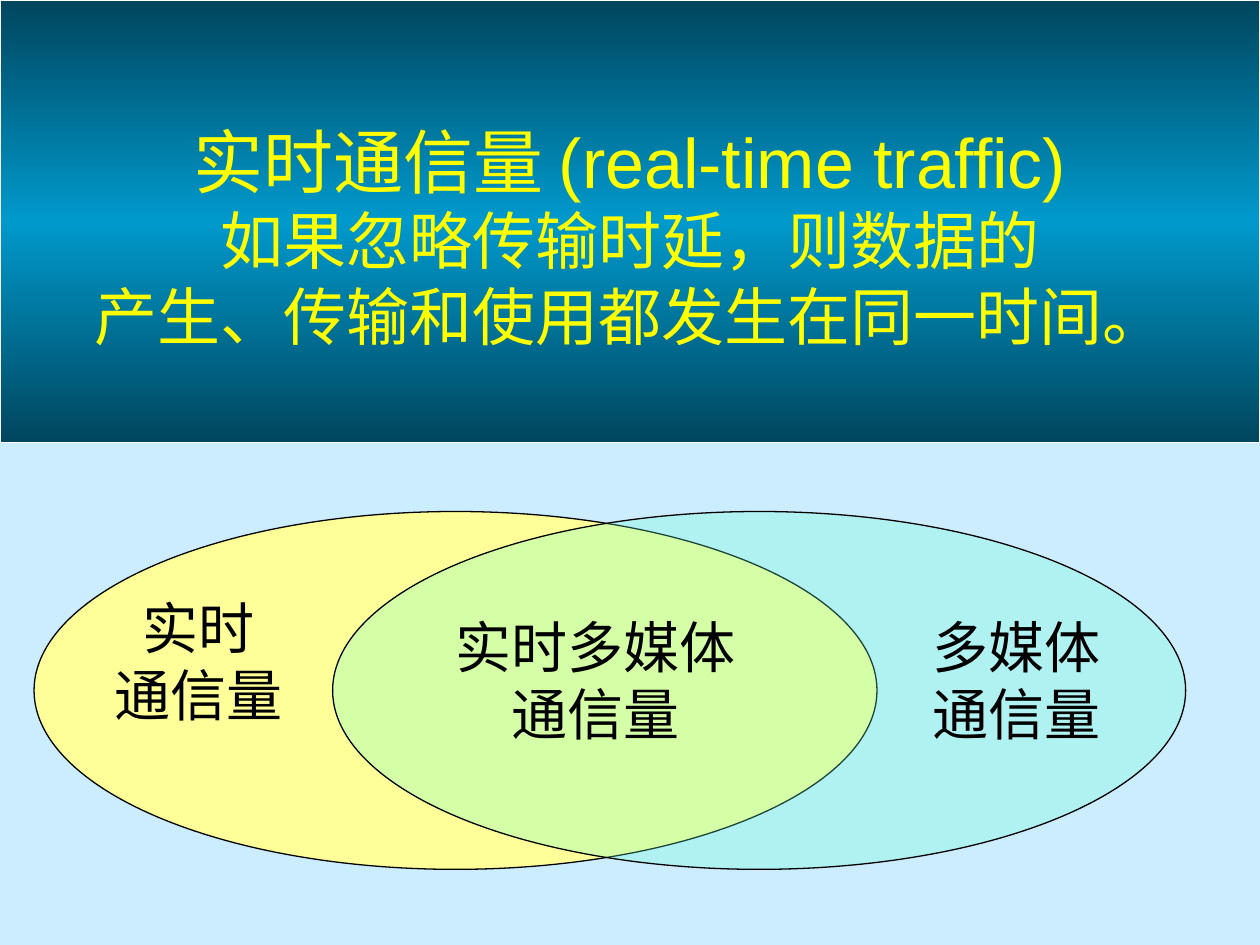
from copy import deepcopy

from lxml import etree
from pptx import Presentation
from pptx.dml.color import RGBColor
from pptx.enum.shapes import MSO_SHAPE
from pptx.enum.text import MSO_ANCHOR, PP_ALIGN
from pptx.oxml.ns import qn
from pptx.util import Inches, Pt

RECTANGLE = MSO_SHAPE.RECTANGLE
OVAL = MSO_SHAPE.OVAL
MIDDLE = MSO_ANCHOR.MIDDLE
CENTER = PP_ALIGN.CENTER

FONT = "Arial"
DARK_BLUE = "00465E"
BRIGHT_BLUE = "0099CC"
PALE_BLUE = "CCECFF"
YELLOW = "FFFF00"
PALE_YELLOW = "FFFF99"
MINT = "66FFCC"
BLACK = "000000"
WHITE = "FFFFFF"


def color(value):
    return RGBColor.from_string(value)


def add_outlined_shape(page, kind, box, line):
    shape = page.shapes.add_shape(kind, *map(Inches, box))
    shape.shadow.inherit = False
    shape.line.color.rgb = color(line)
    shape.line.width = Pt(0.75)
    return shape


def fill_gradient(shape, values):
    fill = shape.fill
    fill.gradient()
    fill.gradient_angle = 270
    stop_list = shape.element.find(".//" + qn("a:gsLst"))
    for _ in range(len(values) - len(stop_list)):
        stop_list.append(deepcopy(stop_list[-1]))
    for index, (stop, value) in enumerate(zip(fill.gradient_stops, values)):
        stop.position = index / (len(values) - 1)
        stop.color.rgb = color(value)


def add_text(page, box, lines, text_color):
    frame = page.shapes.add_textbox(*map(Inches, box)).text_frame
    frame.word_wrap = True
    frame.vertical_anchor = MIDDLE
    para = frame.paragraphs[0]
    para.alignment = CENTER
    para.font.name = FONT
    para.font.color.rgb = color(text_color)
    for index, (text, size) in enumerate(lines):
        if index:
            para.add_line_break()
        span = para.add_run()
        span.text = text
        span.font.size = Pt(size)


def add_header(page, box):
    left, top, width, height = box
    band = add_outlined_shape(page, RECTANGLE, box, WHITE)
    fill_gradient(band, [DARK_BLUE, BRIGHT_BLUE, DARK_BLUE])
    lines = [
        ("实时通信量 (real-time traffic)", 40),
        ("如果忽略传输时延，则数据的", 36),
        ("产生、传输和使用都发生在同一时间。", 36),
    ]
    title_box = (left + 0.5, top + 0.54, width - 1, height - 0.85)
    add_text(page, title_box, lines, YELLOW)


def add_ellipse(page, box, fill_color, opacity=100):
    ellipse = add_outlined_shape(page, OVAL, box, BLACK)
    ellipse.fill.solid()
    ellipse.fill.fore_color.rgb = color(fill_color)
    if opacity < 100:
        solid = ellipse.element.spPr.find(qn("a:solidFill"))
        etree.SubElement(solid[0], qn("a:alpha"), val=str(opacity * 1000))


def add_traffic_diagram(page, box):
    left, top, width, height = box
    add_ellipse(page, (left, top, 6.69, height), PALE_YELLOW)
    add_ellipse(page, (left + width - 6.77, top, 6.77, height), MINT, 27)
    labels = [
        (-0.62, 0.56, "实时"),
        (5.87, 0.71, "多媒体"),
        (2.53, 0.71, "实时多媒体"),
    ]
    for across, down, name in labels:
        label_box = (left + across, top + down, 3.86, 1.25)
        add_text(page, label_box, [(name, 32), ("通信量", 32)], BLACK)


def main():
    deck = Presentation()
    deck.slide_width = Inches(10)
    deck.slide_height = Inches(7.5)
    page = deck.slides.add_slide(deck.slide_layouts[6])
    page.background.fill.solid()
    page.background.fill.fore_color.rgb = color(PALE_BLUE)
    add_header(page, (0, 0, 10, 3.51))
    add_traffic_diagram(page, (0.27, 4.06, 9.14, 2.84))
    deck.save("out.pptx")


if __name__ == "__main__":
    main()
